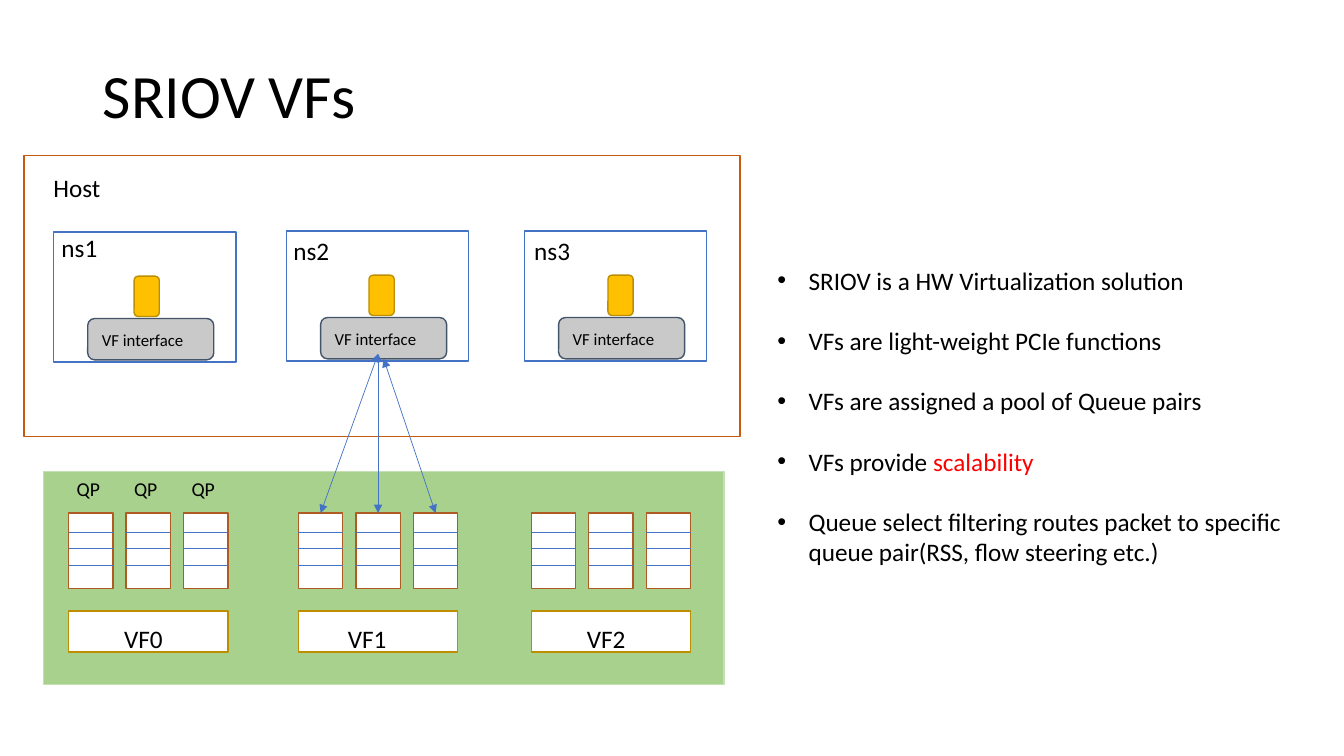
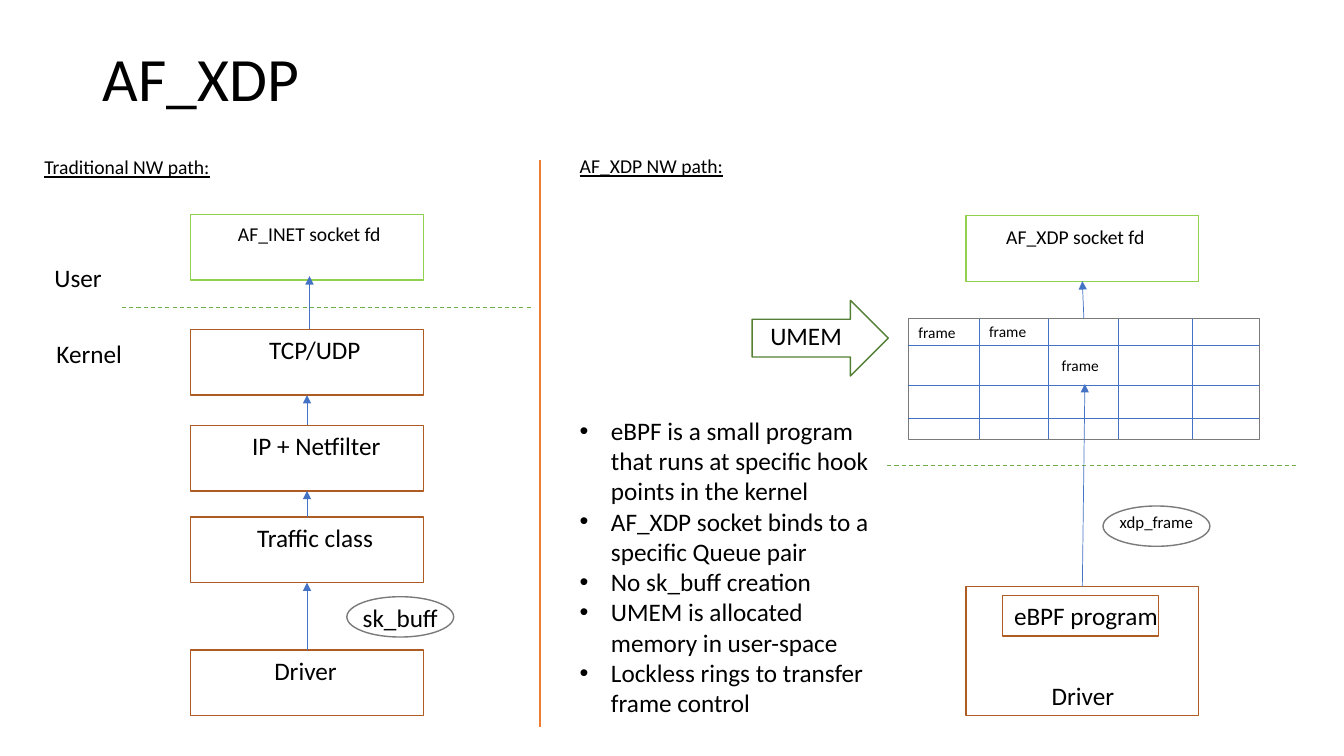
from dataclasses import dataclass

from lxml import etree
from pptx import Presentation
from pptx.dml.color import RGBColor
from pptx.enum.dml import MSO_LINE
from pptx.enum.shapes import MSO_CONNECTOR, MSO_SHAPE
from pptx.enum.text import MSO_ANCHOR, PP_ALIGN
from pptx.oxml.ns import qn
from pptx.util import Pt

EMU_PER_PX = 9144
RECT = MSO_SHAPE.RECTANGLE
ROUND = MSO_SHAPE.ROUNDED_RECTANGLE
OVAL = MSO_SHAPE.OVAL
ARROW = MSO_SHAPE.RIGHT_ARROW
STRAIGHT = MSO_CONNECTOR.STRAIGHT
DASH = MSO_LINE.DASH
TOP, MIDDLE = MSO_ANCHOR.TOP, MSO_ANCHOR.MIDDLE
LEFT, CENTER = PP_ALIGN.LEFT, PP_ALIGN.CENTER
TOP_SIDE, BOTTOM_SIDE = 0, 2


@dataclass(frozen=True)
class Theme:
    font: str = "Calibri"
    title: int = 44
    body: int = 18
    heading: int = 14
    small: int = 12
    tiny: int = 11
    ink: str = "000000"
    paper: str = "FFFFFF"
    accent: str = "FF0000"
    blue: str = "4472C4"
    brown: str = "AF5C24"
    host: str = "C55A11"
    orange: str = "ED7D31"
    amber: str = "FFC000"
    gold: str = "BD8E00"
    gray: str = "7A7A7A"
    silver: str = "C9C9C9"
    slate: str = "44546A"
    lime: str = "92D050"
    green: str = "70AD47"
    forest: str = "538035"
    card: str = "A9D18E"
    card_edge: str = "C5E0B4"


@dataclass(frozen=True)
class Box:
    x: int
    y: int
    w: int
    h: int

    def inner(self, x, y, w, h):
        return Box(self.x + x, self.y + y, w, h)

    def emu(self):
        return [px(v) for v in (self.x, self.y, self.w, self.h)]


THEME = Theme()


def px(value):
    return int(value * EMU_PER_PX)


def color(value):
    return RGBColor.from_string(value)


def add_bullet(para, indent=31):
    properties = para._p.get_or_add_pPr()
    properties.set("marL", str(px(indent)))
    properties.set("indent", str(-px(indent)))
    etree.SubElement(properties, qn("a:buFont")).set("typeface", "Arial")
    etree.SubElement(properties, qn("a:buChar")).set("char", "•")


def write_text(frame, content, size=THEME.body, inset=(0, 0), align=LEFT,
               anchor=TOP, wrap=True, bullets=False, gap=0, spacing=None,
               underline=False):
    frame.word_wrap = wrap
    frame.vertical_anchor = anchor
    frame.margin_left, frame.margin_top = px(inset[0]), px(inset[1])
    frame.margin_right = frame.margin_bottom = 0
    lines = [content] if isinstance(content, str) else content
    for index, line in enumerate(lines):
        para = frame.add_paragraph() if index else frame.paragraphs[0]
        if bullets:
            add_bullet(para)
        para.alignment = align
        if spacing:
            para.line_spacing = spacing
        if index and gap:
            para.space_before = Pt(gap)
        spans = [(line, THEME.ink)] if isinstance(line, str) else line
        for text, ink in spans:
            span = para.add_run()
            span.text = text
            span.font.name = THEME.font
            span.font.size = Pt(size)
            span.font.color.rgb = color(ink)
            if underline:
                span.font.underline = True


def add_text(page, box, content, **style):
    frame = page.shapes.add_textbox(*box.emu()).text_frame
    write_text(frame, content, **style)


def add_block(page, box, edge, fill=THEME.paper, kind=RECT, text=None, **style):
    block = page.shapes.add_shape(kind, *box.emu())
    block.shadow.inherit = False
    block.fill.solid()
    block.fill.fore_color.rgb = color(fill)
    block.line.color.rgb = color(edge)
    block.line.width = Pt(1)
    if text:
        write_text(block.text_frame, text, **style)
    return block


def add_line(page, start=(0, 0), end=(0, 0), ink=THEME.blue, width=0.5,
             dash=False, heads=(), source=None, target=None):
    line = page.shapes.add_connector(
        STRAIGHT, px(start[0]), px(start[1]), px(end[0]), px(end[1]))
    if source:
        line.begin_connect(source, TOP_SIDE)
    if target:
        line.end_connect(target, BOTTOM_SIDE)
    line.line.color.rgb = color(ink)
    line.line.width = Pt(width)
    if dash:
        line.line.dash_style = DASH
    outline = line.line._get_or_add_ln()
    for head in heads:
        etree.SubElement(outline, qn("a:" + head)).set("type", "triangle")
    etree.SubElement(line._element.spPr, qn("a:effectLst"))


def add_title(page, box, text):
    add_text(page, box, text, size=THEME.title, anchor=MIDDLE, spacing=0.9)


def add_queue(page, box):
    queue = add_block(page, box, THEME.brown)
    for offset in (19, 35, 52):
        y = box.y + offset
        add_line(page, (box.x, y), (box.x + box.w, y))
    return queue


def add_function(page, box, name, inset):
    queues = [add_queue(page, box.inner(57 * i, 0, 44, 75)) for i in range(3)]
    add_block(page, box.inner(0, 97, box.w, 41), THEME.gold,
              text=name, inset=(inset, 12))
    return queues


def add_namespace(page, box, name, inset, app_x):
    add_block(page, box, THEME.blue, text=name, inset=inset)
    add_block(page, box.inner(app_x, 44, 25, 40), THEME.gold,
              fill=THEME.amber, kind=ROUND)
    return add_block(page, box.inner(34, 86, 125, 41), THEME.slate,
                     fill=THEME.silver, kind=ROUND, text="VF interface",
                     size=THEME.small, inset=(12, 9))


def add_host(page, box):
    add_block(page, box, THEME.host, text="Host", inset=(29, 17))
    spaces = (
        ("ns1", 29, 76, (8, 0), 80),
        ("ns2", 260, 75, (7, 4), 82),
        ("ns3", 496, 75, (10, 4), 83),
    )
    return [add_namespace(page, box.inner(x, y, 181, 129), name, inset, app_x)
            for name, x, y, inset, app_x in spaces]


def add_card(page, box):
    add_block(page, box, THEME.card_edge, fill=THEME.card)
    for index in range(3):
        add_text(page, box.inner(33 + 57 * index, 5, 40, 24), "QP",
                 size=THEME.heading)
    functions = (("VF0", 25, 55), ("VF1", 253, 49), ("VF2", 484, 55))
    return [add_function(page, box.inner(x, 41, 158, 138), name, inset)
            for name, x, inset in functions]


def build_sriov(page):
    add_title(page, Box(102, 40, 1130, 116), "SRIOV VFs")
    queues = add_card(page, Box(43, 468, 675, 211))[1]
    interface = add_host(page, Box(24, 154, 710, 279))[1]
    for queue, target in zip(queues, (None, None, interface)):
        add_line(page, end=(375, 351), source=queue, target=target,
                 heads=("headEnd", "tailEnd"))
    add_text(page, Box(771, 263, 501, 310), [
        "SRIOV is a HW Virtualization solution",
        "VFs are light-weight PCIe functions",
        "VFs are assigned a pool of Queue pairs",
        [("VFs provide ", THEME.ink), ("scalability", THEME.accent)],
        "Queue select filtering routes packet to specific queue pair"
        "(RSS, flow steering etc.)",
    ], bullets=True, gap=21.5)


def add_traditional_stack(page, box):
    add_text(page, box.inner(0, 0, 253, 24), "Traditional NW path:",
             size=THEME.heading, underline=True)
    add_line(page, (box.x + 77, box.y + 151), (box.x + 485, box.y + 151),
             ink=THEME.green, width=0.75, dash=True)
    add_block(page, box.inner(145, 59, 231, 65), THEME.lime,
              text="AF_INET socket fd", size=THEME.heading, inset=(47, 7))
    layers = (("TCP/UDP", 173, 78), ("IP + Netfilter", 268, 61),
              ("Traffic class", 359, 66), ("Driver", 491, 83))
    blocks = [add_block(page, box.inner(145, y, 231, 65), THEME.brown,
                        text=name, inset=(inset, 5))
              for name, y, inset in layers]
    for upper, lower in zip(blocks, blocks[1:]):
        add_line(page, source=lower, target=upper, heads=("tailEnd",))
    add_line(page, (box.x + 263, box.y + 172), (box.x + 263, box.y + 120),
             heads=("tailEnd",))
    add_block(page, box.inner(300, 438, 106, 40), THEME.gray, kind=OVAL,
              text="sk_buff", align=CENTER, wrap=False)
    for name, x, y in (("User", 10, 106), ("Kernel", 12, 182)):
        add_text(page, box.inner(x, y, 90, 30), name)


def add_umem(page, box):
    grid = add_block(page, box, THEME.gray)
    for offset in (70, 139, 208, 282):
        x = box.x + offset
        add_line(page, (x, box.y), (x, box.y + box.h))
    for offset in (27, 66, 99):
        y = box.y + offset
        add_line(page, (box.x, y), (box.x + box.w, y))
    for x, y in ((10, 5), (80, 4), (152, 37)):
        add_text(page, box.inner(x, y, 50, 19), "frame", size=THEME.tiny)
    return grid


def add_xdp_stack(page, box):
    driver = add_block(page, box.inner(78, 368, 231, 128), THEME.brown,
                       text="Driver", inset=(85, 93))
    add_block(page, box.inner(114, 377, 155, 40), THEME.brown,
              text="eBPF program", inset=(11, 5), align=CENTER, wrap=False)
    add_line(page, (box.x, box.y + 248), (box.x + 407, box.y + 248),
             ink=THEME.green, width=0.75, dash=True)
    socket = add_block(page, box.inner(78, 0, 231, 65), THEME.lime,
                       text="AF_XDP socket fd", size=THEME.heading,
                       inset=(40, 9))
    add_block(page, box.inner(214, 288, 106, 40), THEME.gray, kind=OVAL,
              text="xdp_frame", size=THEME.small, align=CENTER, wrap=False)
    grid = add_umem(page, box.inner(21, 102, 348, 120))
    add_line(page, source=grid, target=socket, heads=("tailEnd",))
    add_line(page, end=(box.x + 196, box.y + 167), source=driver,
             heads=("tailEnd",))


def build_af_xdp(page):
    add_title(page, Box(102, 17, 1130, 127), "AF_XDP")
    add_traditional_stack(page, Box(44, 154, 495, 556))
    add_line(page, (536, 159), (536, 721), ink=THEME.orange, width=1.5)
    add_text(page, Box(575, 153, 253, 24), "AF_XDP NW path:",
             size=THEME.heading, underline=True)
    add_block(page, Box(746, 298, 135, 75), THEME.forest, kind=ARROW,
              text="UMEM", inset=(18, 1))
    add_text(page, Box(575, 412, 308, 303), [
        "eBPF is a small program that runs at specific hook points in the kernel",
        "AF_XDP socket binds to a specific Queue pair",
        "No sk_buff creation",
        "UMEM is allocated memory in user-space",
        "Lockless rings to transfer frame control",
    ], bullets=True)
    add_xdp_stack(page, Box(880, 214, 407, 496))


def main():
    deck = Presentation()
    deck.slide_width, deck.slide_height = px(1333), px(750)
    blank = deck.slide_layouts[6]
    for build in (build_sriov, build_af_xdp):
        build(deck.slides.add_slide(blank))
    deck.save("out.pptx")


if __name__ == "__main__":
    main()
